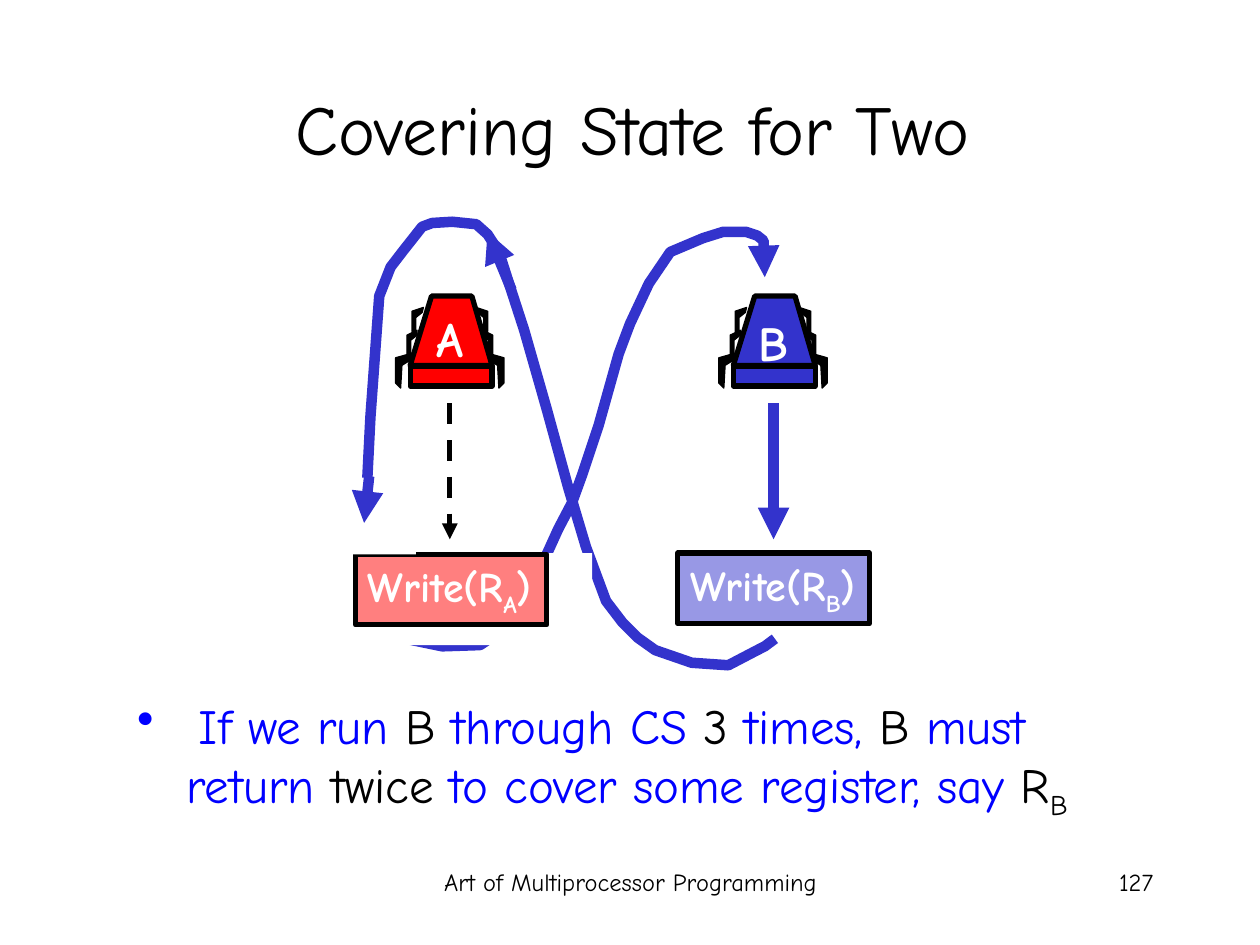
from typing import NamedTuple

from lxml.etree import SubElement as Sub
from pptx import Presentation
from pptx.dml.color import RGBColor as Rgb
from pptx.enum.dml import MSO_LINE_DASH_STYLE as Dash
from pptx.enum.shapes import MSO_CONNECTOR as Link, MSO_SHAPE as Kind
from pptx.enum.text import MSO_ANCHOR as Anchor, PP_ALIGN as Align
from pptx.oxml.ns import qn
from pptx.util import Inches, Pt

# The slide is a grid of 1000 columns by 750 rows
WIDE, HIGH = Inches(10), Inches(7.5)
COL, ROW = WIDE // 1000, HIGH // 750
FONT = "Comic Neue"
HUES = {"ink": "000000", "paper": "FFFFFF", "text": "0000FF",
        "red": "FF0000", "blue": "3333CC"}


class Box(NamedTuple):
    x: float
    y: float
    w: float
    h: float


class Bit(NamedTuple):
    text: str
    hue: str = "ink"
    sub: bool = False


class Robot(NamedTuple):
    name: str
    mid: float
    hue: str
    top: float


class Write(NamedTuple):
    name: str
    box: Box
    hue: str


class Arrow(NamedTuple):
    start: tuple
    end: tuple
    hue: str = "blue"
    width: float = 6
    dashed: bool = False


# Right-hand legs, as columns from the robot's middle and rows of the slide
LEGS = [
    [(29, 280), (43, 284), (43, 304), (39, 308), (38, 290), (30, 285)],
    [(26, 262), (34, 266), (34, 281), (31, 284), (31, 270), (26, 266)],
    [(21, 244), (30, 247), (30, 263), (27, 266), (27, 252), (22, 248)],
]
RED = Robot("A", 357, "red", 240)
BLUE = Robot("B", 613.5, "blue", 243)
WRITE_A = Write("A", Box(282, 440, 152, 56), "red")
WRITE_B = Write("B", Box(538, 439, 152, 56), "blue")
ROUTE = [
    (615, 507), (607, 513), (601, 516), (578, 528), (549, 526), (520, 516),
    (506, 506), (494, 494), (481, 477), (465, 434), (451, 387), (434, 325),
    (416, 262), (404, 225), (396, 200), (387, 186), (378, 178), (359, 176),
    (343, 177), (335, 180), (320, 199), (310, 212), (301, 235), (294, 331),
    (290, 410), (291, 464), (293, 484), (300, 494), (322, 507), (351, 513),
    (381, 512), (399, 500), (423, 463), (433, 442), (443, 420), (454, 399),
    (462, 377), (475, 338), (491, 281), (500, 257), (515, 225), (532, 200),
    (558, 189), (574, 184), (592, 184), (601, 187), (606, 191), (607, 220),
]


def spot(box: Box) -> tuple:
    return (int(box.x * COL), int(box.y * ROW),
            int(box.w * COL), int(box.h * ROW))


def paint(shape, fill=None, line=None, width=3.0, alpha=None) -> None:
    shape.shadow.inherit = False
    if fill:
        shape.fill.solid()
        shape.fill.fore_color.rgb = Rgb.from_string(HUES[fill])
        if alpha:
            tint = shape.fill._xPr.find(".//" + qn("a:srgbClr"))
            Sub(tint, qn("a:alpha"), val=str(alpha * 1000))
    else:
        shape.fill.background()
    if line:
        shape.line.color.rgb = Rgb.from_string(HUES[line])
        shape.line.width = Pt(width)
    else:
        shape.line.fill.background()


def add_tip(line) -> None:
    Sub(line._get_or_add_ln(), qn("a:tailEnd"), type="triangle")


def write(para, bits: list, size: int, bold=False) -> None:
    for bit in bits:
        run = para.add_run()
        run.text = bit.text
        run.font.name, run.font.size, run.font.bold = FONT, Pt(size), bold
        run.font.color.rgb = Rgb.from_string(HUES[bit.hue])
        if bit.sub:
            run._r.get_or_add_rPr().set("baseline", "-25000")


def add_text(shapes, box: Box, bits: list, size: int, align=Align.LEFT,
             anchor=Anchor.TOP, bold=False, wrap=True):
    frame = shapes.add_textbox(*spot(box)).text_frame
    frame.word_wrap, frame.vertical_anchor = wrap, anchor
    frame.paragraphs[0].alignment = align
    write(frame.paragraphs[0], bits, size, bold)
    return frame


def add_rect(shapes, box: Box, fill: str, line=None, alpha=None):
    rect = shapes.add_shape(Kind.RECTANGLE, *spot(box))
    paint(rect, fill, line, alpha=alpha)
    return rect


def add_path(shapes, dots: list, closed=True):
    dots = [(int(x * COL), int(y * ROW)) for x, y in dots]
    path = shapes.build_freeform(*dots[0], scale=1.0)
    path.add_line_segments(dots[1:], close=closed)
    return path.convert_to_shape()


def add_arrow(shapes, arrow: Arrow) -> None:
    ends = [int(n) for x, y in (arrow.start, arrow.end)
            for n in (x * COL, y * ROW)]
    link = shapes.add_connector(Link.STRAIGHT, *ends)
    link.line.color.rgb = Rgb.from_string(HUES[arrow.hue])
    link.line.width = Pt(arrow.width)
    if arrow.dashed:
        link.line.dash_style = Dash.DASH
    add_tip(link.line)
    Sub(link._element.spPr, qn("a:effectLst"))


def add_robot(shapes, robot: Robot) -> None:
    parts = shapes.add_group_shape().shapes
    for leg in LEGS:
        for side in (1, -1):
            dots = [(robot.mid + side * x, y) for x, y in leg]
            paint(add_path(parts, dots), "ink", "ink", 0.75)
    left = robot.mid - 31.5
    body = [(left, 290), (left + 17, 235), (left + 49, 235), (left + 65, 290)]
    paint(add_path(parts, body), robot.hue, "ink")
    add_rect(parts, Box(left, 290.5, 65, 16), robot.hue, "ink")
    add_text(parts, Box(robot.mid - 21, robot.top, 42, 57),
             [Bit(robot.name, "paper")], 28, Align.CENTER, bold=True,
             wrap=False)


def add_write(shapes, item: Write) -> None:
    frame = add_rect(shapes, item.box, item.hue, "ink", 50).text_frame
    frame.word_wrap = False
    frame.paragraphs[0].alignment = Align.LEFT
    write(frame.paragraphs[0], [Bit("Write(R", "paper"),
          Bit(item.name, "paper", True), Bit(")", "paper")], 24, True)


def add_claim(shapes) -> None:
    frame = add_text(shapes, Box(99, 547, 767, 163), [
        Bit("If we run ", "text"), Bit("B"), Bit(" through CS ", "text"),
        Bit("3"), Bit(" times, ", "text"), Bit("B"), Bit(" must", "text"),
    ], 28, wrap=False)
    props = frame.paragraphs[0]._p.get_or_add_pPr()
    props.set("marL", str(49 * COL))
    props.set("indent", str(-49 * COL))
    Sub(Sub(props, qn("a:buClr")), qn("a:srgbClr"), val=HUES["text"])
    Sub(props, qn("a:buChar"), char="•")
    para = frame.add_paragraph()
    para._p.get_or_add_pPr().set("marL", str(39 * COL))
    write(para, [Bit("return ", "text"), Bit("twice"),
                 Bit(" to cover some register, say ", "text"),
                 Bit("R"), Bit("B", sub=True)], 28)


def main() -> None:
    deck = Presentation()
    deck.slide_width, deck.slide_height = WIDE, HIGH
    shapes = deck.slides.add_slide(deck.slide_layouts[6]).shapes

    # Footer
    add_text(shapes, Box(342, 683, 317, 50),
             [Bit("Art of Multiprocessor Programming")], 14, Align.CENTER)
    add_text(shapes, Box(717, 683, 208, 50), [Bit("127")], 14, Align.RIGHT)

    # Long route of B, partly masked behind the write of A
    route = add_path(shapes, ROUTE, closed=False)
    paint(route, line="blue", width=6)
    add_tip(route.line)
    add_claim(shapes)
    add_rect(shapes, Box(283, 439, 187, 73), "paper")
    add_arrow(shapes, Arrow((406, 230), (387, 184)))

    # Title
    add_text(shapes, Box(77, 39, 850, 125), [Bit("Covering State for Two")],
             40, Align.CENTER, Anchor.MIDDLE)

    # Robots and their pending writes
    add_write(shapes, WRITE_B)
    add_robot(shapes, BLUE)
    add_write(shapes, WRITE_A)
    add_arrow(shapes, Arrow((357, 320), (357, 428), "ink", 3, True))
    add_robot(shapes, RED)
    add_arrow(shapes, Arrow((614, 320), (614, 428)))

    # Route cut short above the write of A
    add_rect(shapes, Box(248, 379, 82, 61), "paper")
    add_arrow(shapes, Arrow((293, 378), (289, 415)))
    deck.save("out.pptx")


if __name__ == "__main__":
    main()
